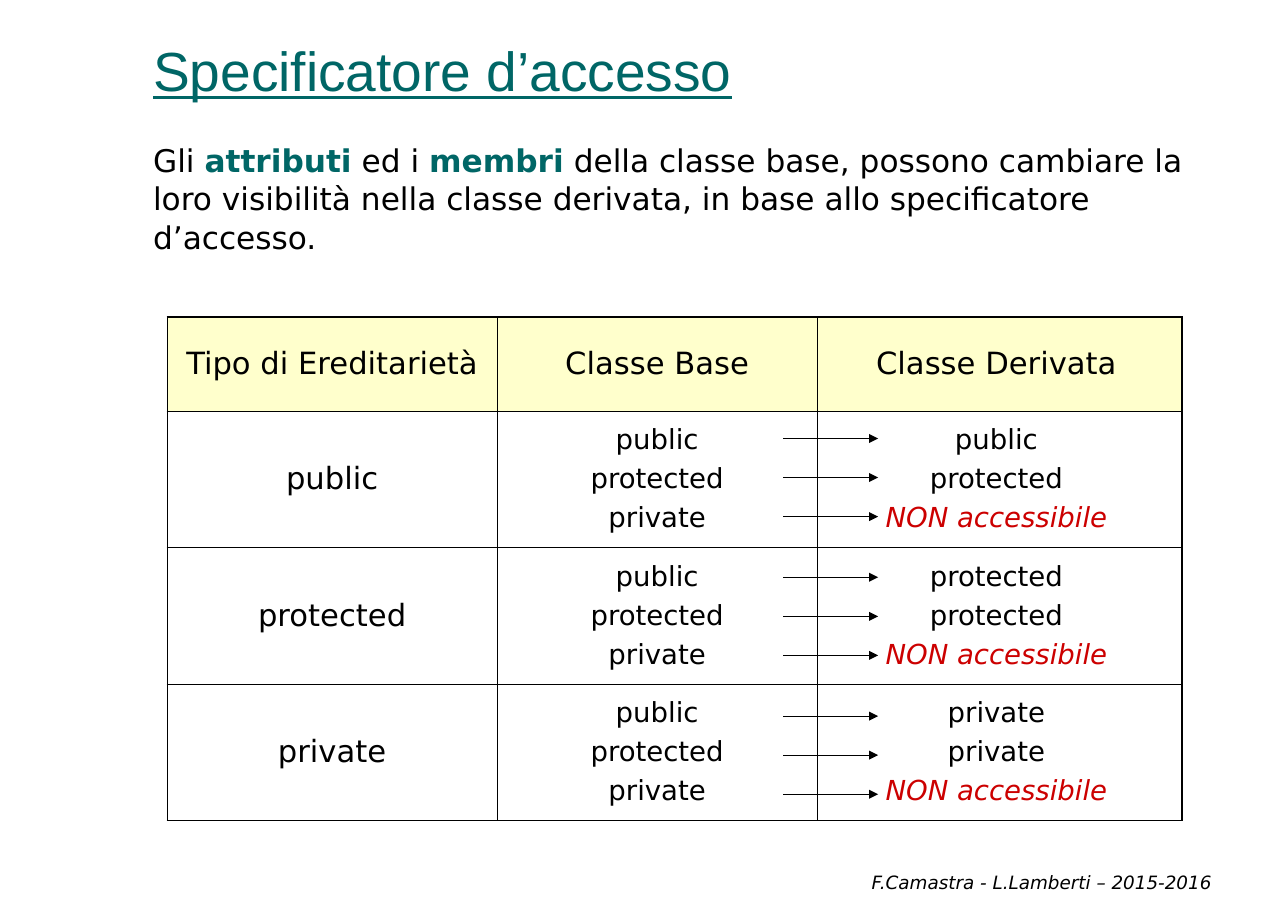
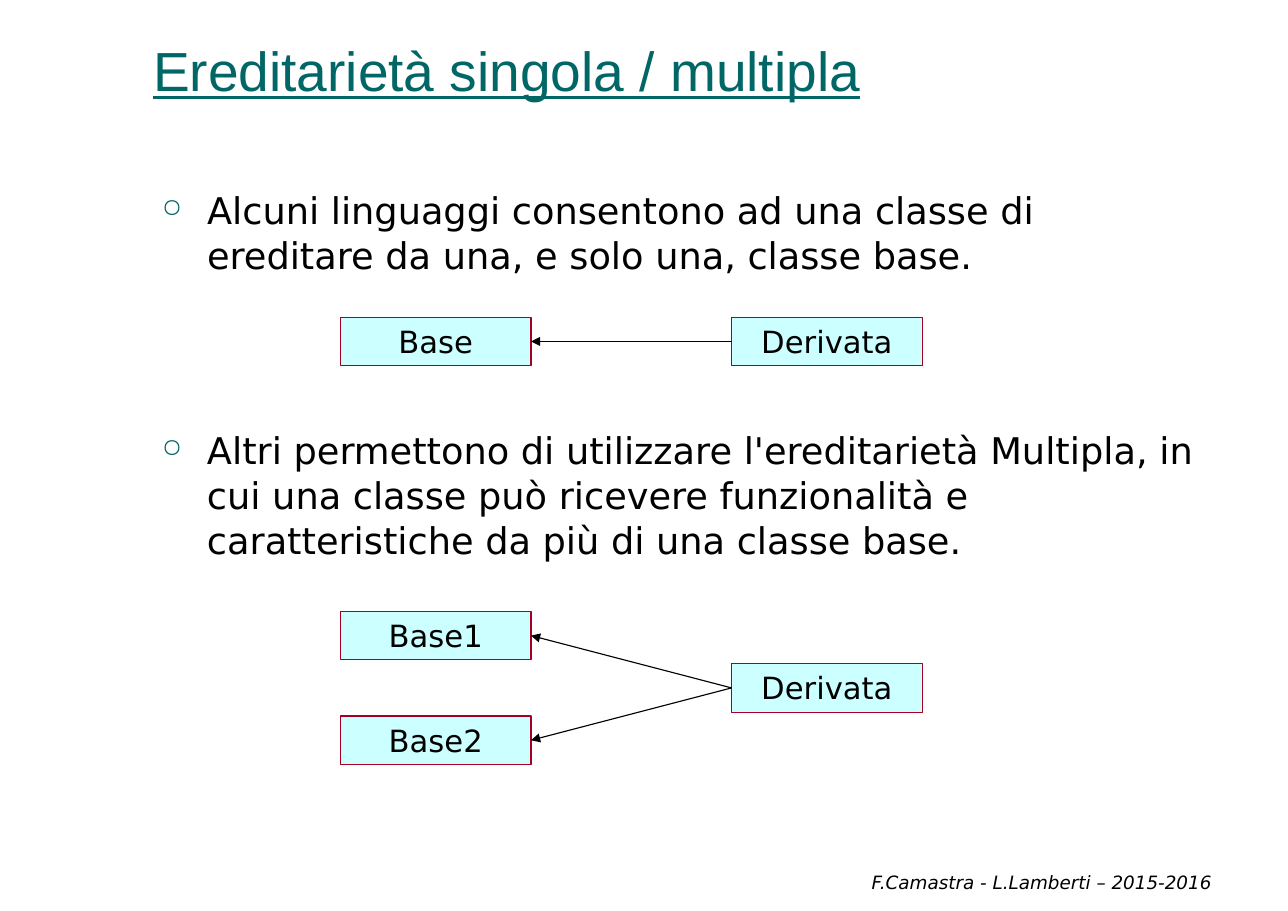
from dataclasses import dataclass, field
from itertools import product

from pptx import Presentation
from pptx.dml.color import RGBColor
from pptx.enum.shapes import MSO_CONNECTOR, MSO_SHAPE
from pptx.enum.text import MSO_ANCHOR, MSO_AUTO_SIZE, PP_ALIGN
from pptx.oxml.ns import qn
from pptx.util import Emu, Inches, Pt
from lxml.etree import SubElement

SLIDE_W, SLIDE_H = Inches(11.69), Inches(8.27)


@dataclass(frozen=True)
class Theme:
    accent: str = "006666"
    ink: str = "000000"
    warning: str = "CC0000"
    header_fill: str = "FFFFCC"
    box_fill: str = "CCFFFF"
    box_line: str = "A50021"
    title_font: str = "Arial"
    body_font: str = "DejaVu Sans"
    title_size: float = 36
    bullet_size: float = 24
    intro_size: float = 20.4
    label_size: float = 20
    member_size: float = 18
    footer_size: float = 12
    thin: float = 0.45
    thick: float = 1.08
    line: float = 0.75
    body_leading: float = 1.03


THEME = Theme()
FOOTER = "F.Camastra - L.Lamberti – 2015-2016"


@dataclass(frozen=True)
class Area:
    """A place on a grid of 100 columns by 100 rows over the slide."""
    x: float
    y: float
    w: float
    h: float

    def emu(self) -> tuple[Emu, Emu, Emu, Emu]:
        return col(self.x), row(self.y), col(self.w), row(self.h)


@dataclass(frozen=True)
class Span:
    text: str
    size: float
    color: str = THEME.ink
    font: dict = field(default_factory=dict)


@dataclass(frozen=True)
class Inheritance:
    kind: str
    derived: tuple[str, str, str]


TITLE_AREA = Area(10.95, 0.73, 84.09, 11.12)
FOOTER_AREA = Area(34.13, 92.87, 60.91, 5.8)
INTRO_AREA = Area(10.95, 14.75, 82.89, 14.27)
TABLE_X, TABLE_Y = 13, 34.82
TABLE_COLS = (25.58, 24.89, 28.31)
HEADER_H, ROW_H = 10.28, 14.99
ARROW_X, ARROW_Y, ARROW_W = 60.82, 48.13, 7.36
ARROW_STEP, ARROW_GROUP_STEP = 4.29, 15.24
BOX_W, BOX_H = 14.8, 5.32
BASE_X, DERIVED_X = 26.43, 56.8

HEADERS = ("Tipo di Ereditarietà", "Classe Base", "Classe Derivata")
MEMBERS = ("public", "protected", "private")
HIDDEN = "NON accessibile"
INHERITANCES = (
    Inheritance("public", ("public", "protected", HIDDEN)),
    Inheritance("protected", ("protected", "protected", HIDDEN)),
    Inheritance("private", ("private", "private", HIDDEN)),
)


def col(n: float) -> Emu:
    return Emu(round(SLIDE_W * n / 100))


def row(n: float) -> Emu:
    return Emu(round(SLIDE_H * n / 100))


def rgb(color: str) -> RGBColor:
    return RGBColor.from_string(color)


def add_spans(p, *spans: Span) -> None:
    for span in spans:
        r = p.add_run()
        r.text = span.text
        formats = {"name": THEME.body_font, "size": Pt(span.size), **span.font}
        for name, value in formats.items():
            setattr(r.font, name, value)
        r.font.color.rgb = rgb(span.color)


def format_frame(tf, anchor=MSO_ANCHOR.TOP, margin: float = 0.11) -> None:
    formats = {
        "word_wrap": True, "auto_size": MSO_AUTO_SIZE.NONE,
        "vertical_anchor": anchor,
        "margin_left": Inches(margin), "margin_right": Inches(margin),
        "margin_top": Inches(0.05), "margin_bottom": Inches(0.05),
    }
    for name, value in formats.items():
        setattr(tf, name, value)


def add_text(slide, area: Area, *spans: Span, anchor=MSO_ANCHOR.TOP,
             align=PP_ALIGN.LEFT, leading: float = 1.0):
    tf = slide.shapes.add_textbox(*area.emu()).text_frame
    format_frame(tf, anchor)
    p = tf.paragraphs[0]
    p.alignment, p.line_spacing = align, leading
    add_spans(p, *spans)
    return p


def add_bullet(slide, area: Area, text: str) -> None:
    p = add_text(slide, area, Span(text, THEME.bullet_size),
                 leading=THEME.body_leading)
    pPr = p._p.get_or_add_pPr()
    pPr.set("marL", str(Inches(0.41)))
    pPr.set("indent", str(-Inches(0.41)))
    color = SubElement(pPr, qn("a:buClr"))
    SubElement(color, qn("a:srgbClr"), val=THEME.accent)
    SubElement(pPr, qn("a:buSzPct"), val="70000")
    SubElement(pPr, qn("a:buChar"), char="○")


def add_titled_slide(prs, title: str):
    slide = prs.slides.add_slide(prs.slide_layouts[5])
    sp = slide.shapes.title
    sp.left, sp.top, sp.width, sp.height = TITLE_AREA.emu()
    format_frame(sp.text_frame, MSO_ANCHOR.BOTTOM)
    p = sp.text_frame.paragraphs[0]
    p.alignment = PP_ALIGN.LEFT
    add_spans(p, Span(title, THEME.title_size, THEME.accent,
                      {"name": THEME.title_font, "underline": True}))
    add_text(slide, FOOTER_AREA,
             Span(FOOTER, THEME.footer_size, font={"italic": True}),
             anchor=MSO_ANCHOR.BOTTOM, align=PP_ALIGN.RIGHT)
    return slide


def add_arrow(slide, x1: float, y1: float, x2: float, y2: float):
    arrow = slide.shapes.add_connector(
        MSO_CONNECTOR.STRAIGHT, col(x1), row(y1), col(x2), row(y2))
    arrow.line.color.rgb = rgb(THEME.ink)
    arrow.line.width = Pt(THEME.line)
    SubElement(arrow.line._get_or_add_ln(), qn("a:tailEnd"), type="triangle")
    SubElement(arrow._element.spPr, qn("a:effectLst"))
    return arrow


def set_borders(cell, outer: dict[str, bool]) -> None:
    """Draw each side thick where it lies on the table's edge, else thin."""
    tcPr = cell._tc.get_or_add_tcPr()
    for side, is_outer in outer.items():
        width = Pt(THEME.thick if is_outer else THEME.thin)
        ln = SubElement(tcPr, qn(f"a:ln{side}"), w=str(width))
        fill = SubElement(ln, qn("a:solidFill"))
        SubElement(fill, qn("a:srgbClr"), val=THEME.ink)


def fill_cell(cell, spans: list[Span]) -> None:
    tf = cell.text_frame
    for i, span in enumerate(spans):
        p = tf.add_paragraph() if i else tf.paragraphs[0]
        p.alignment, p.space_before = PP_ALIGN.CENTER, Pt(span.size / 4)
        add_spans(p, span)


def member_span(text: str) -> Span:
    if text == HIDDEN:
        return Span(text, THEME.member_size, THEME.warning, {"italic": True})
    return Span(text, THEME.member_size)


def add_access_table(slide) -> None:
    rows = [[[Span(text, THEME.label_size)] for text in HEADERS]]
    for item in INHERITANCES:
        rows.append([[Span(item.kind, THEME.label_size)],
                     [member_span(m) for m in MEMBERS],
                     [member_span(m) for m in item.derived]])
    heights = (HEADER_H,) + (ROW_H,) * len(INHERITANCES)
    area = Area(TABLE_X, TABLE_Y, sum(TABLE_COLS), sum(heights))
    table = slide.shapes.add_table(len(rows), len(TABLE_COLS), *area.emu()).table
    table.first_row = table.horz_banding = False
    for column, width in zip(table.columns, TABLE_COLS):
        column.width = col(width)
    for line, height in zip(table.rows, heights):
        line.height = row(height)
    last_row, last_col = len(rows) - 1, len(TABLE_COLS) - 1
    for i, j in product(range(len(rows)), range(len(TABLE_COLS))):
        cell = table.cell(i, j)
        cell.vertical_anchor = MSO_ANCHOR.MIDDLE
        cell.margin_left = Inches(0.04 if j == last_col else 0.1)
        set_borders(cell, {"L": j == 0, "R": j == last_col,
                           "T": i == 0, "B": i == last_row})
        if i == 0:
            cell.fill.solid()
            cell.fill.fore_color.rgb = rgb(THEME.header_fill)
        else:
            cell.fill.background()
        fill_cell(cell, rows[i][j])


def add_class_box(slide, x: float, y: float, name: str):
    sp = slide.shapes.add_shape(MSO_SHAPE.RECTANGLE,
                                *Area(x, y, BOX_W, BOX_H).emu())
    sp.shadow.inherit = False
    sp.fill.solid()
    sp.fill.fore_color.rgb = rgb(THEME.box_fill)
    sp.line.color.rgb = rgb(THEME.box_line)
    sp.line.width = Pt(THEME.line)
    format_frame(sp.text_frame, margin=0.1)
    p = sp.text_frame.paragraphs[0]
    p.alignment = PP_ALIGN.CENTER
    add_spans(p, Span(name, THEME.label_size))
    return sp


def add_hierarchy(slide, bases: dict[str, float]) -> None:
    """Draw base classes at the given rows, and a derived class midway."""
    middle = sum(bases.values()) / len(bases)
    derived = add_class_box(slide, DERIVED_X, middle, "Derivata")
    for name, y in bases.items():
        base = add_class_box(slide, BASE_X, y, name)
        arrow = add_arrow(slide, DERIVED_X, middle + BOX_H / 2,
                          BASE_X + BOX_W, y + BOX_H / 2)
        arrow.begin_connect(derived, 1)
        arrow.end_connect(base, 3)


def build_access_slide(prs) -> None:
    slide = add_titled_slide(prs, "Specificatore d’accesso")
    size = THEME.intro_size
    bold = {"bold": True}
    add_text(slide, INTRO_AREA,
             Span("Gli ", size),
             Span("attributi", size, THEME.accent, bold),
             Span(" ed i ", size),
             Span("membri", size, THEME.accent, bold),
             Span(" della classe base, possono cambiare la loro visibilità "
                  "nella classe derivata, in base allo specificatore "
                  "d’accesso.", size),
             leading=THEME.body_leading)
    add_access_table(slide)
    for group, member in product(range(len(INHERITANCES)), range(len(MEMBERS))):
        y = ARROW_Y + group * ARROW_GROUP_STEP + member * ARROW_STEP
        add_arrow(slide, ARROW_X, y, ARROW_X + ARROW_W, y)


def build_inheritance_slide(prs) -> None:
    slide = add_titled_slide(prs, "Ereditarietà singola / multipla")
    add_bullet(slide, Area(11.63, 19.83, 78.79, 16.93),
               "Alcuni linguaggi consentono ad una classe di ereditare da "
               "una, e solo una, classe base.")
    add_hierarchy(slide, {"Base": 34.82})
    add_bullet(slide, Area(11.63, 46.19, 82.21, 18.98),
               "Altri permettono di utilizzare l'ereditarietà Multipla, in "
               "cui una classe può ricevere funzionalità e caratteristiche "
               "da più di una classe base.")
    add_hierarchy(slide, {"Base1": 67.11, "Base2": 78.6})


def main() -> None:
    prs = Presentation()
    prs.slide_width, prs.slide_height = SLIDE_W, SLIDE_H
    build_access_slide(prs)
    build_inheritance_slide(prs)
    prs.save("out.pptx")


if __name__ == "__main__":
    main()
